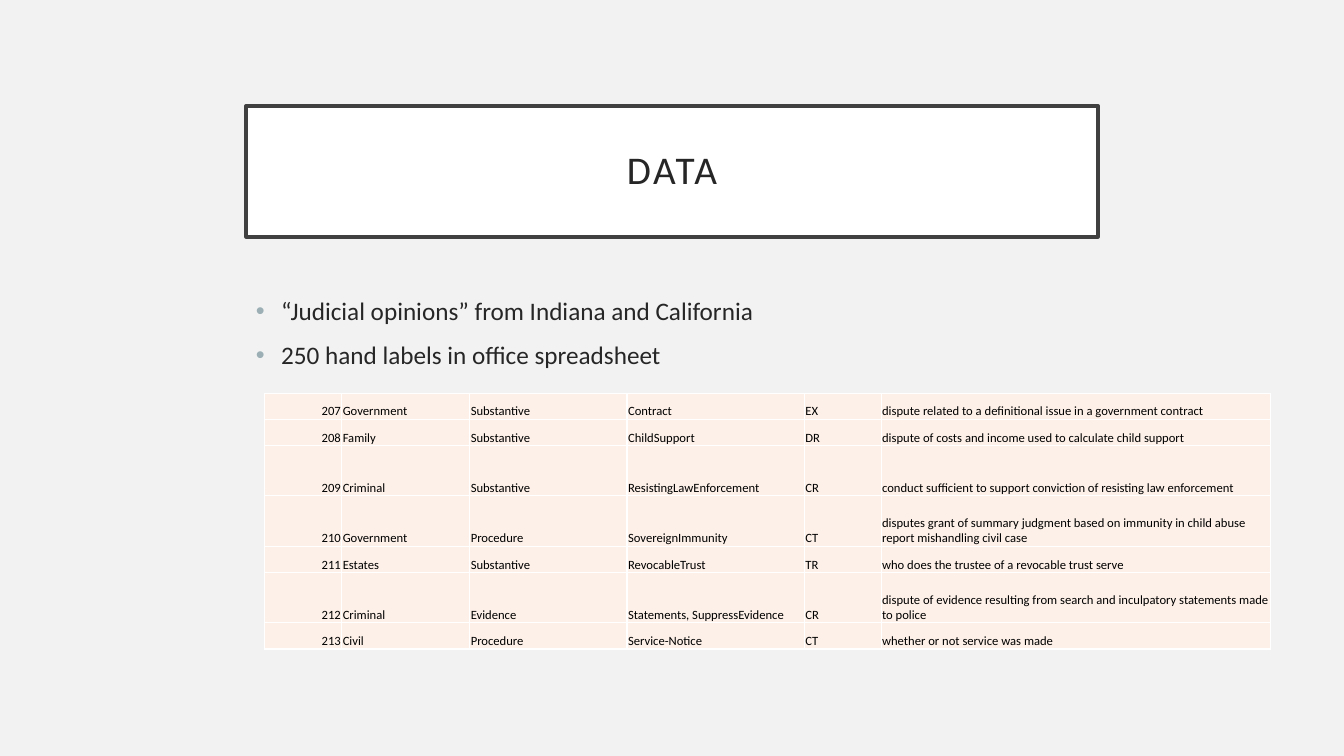
from lxml import etree
from pptx import Presentation
from pptx.dml.color import RGBColor
from pptx.enum.text import MSO_ANCHOR, PP_ALIGN
from pptx.oxml.ns import qn
from pptx.util import Inches, Pt

LEFT, CENTER, RIGHT = PP_ALIGN.LEFT, PP_ALIGN.CENTER, PP_ALIGN.RIGHT
MIDDLE, BOTTOM = MSO_ANCHOR.MIDDLE, MSO_ANCHOR.BOTTOM

# Content
TITLE = "DATA"
BULLETS = [
    "“Judicial opinions” from Indiana and California",
    "250 hand labels in office spreadsheet",
]
CASES = [
    ("207", "Government", "Substantive", "Contract", "EX",
     "dispute related to a definitional issue in a government contract"),
    ("208", "Family", "Substantive", "ChildSupport", "DR",
     "dispute of costs and income used to calculate child support"),
    ("209", "Criminal", "Substantive", "ResistingLawEnforcement", "CR",
     "conduct sufficient to support conviction of resisting law enforcement"),
    ("210", "Government", "Procedure", "SovereignImmunity", "CT",
     "disputes grant of summary judgment based on immunity in child abuse "
     "report mishandling civil case"),
    ("211", "Estates", "Substantive", "RevocableTrust", "TR",
     "who does the trustee of a revocable trust serve"),
    ("212", "Criminal", "Evidence", "Statements, SuppressEvidence", "CR",
     "dispute of evidence resulting from search and inculpatory statements "
     "made to police"),
    ("213", "Civil", "Procedure", "Service-Notice", "CT",
     "whether or not service was made"),
]
COLUMN_WIDTHS = [0.77, 1.27, 1.56, 1.76, 0.76, 3.86]
SHORT_ROW, TALL_ROW = 0.26, 0.5
TALL_CASES = {"209", "210", "212"}
FONT, INK = "Calibri", "262626"


def color(hex_string):
    return RGBColor.from_string(hex_string)


def write(paragraph, text, size, ink=INK, align=LEFT):
    paragraph.alignment = align
    run = paragraph.add_run()
    run.text = text
    run.font.name = FONT
    run.font.size = Pt(size)
    run.font.color.rgb = color(ink)
    return run


def set_margins(frame, left, top, right, bottom):
    frame.margin_left, frame.margin_top = Inches(left), Inches(top)
    frame.margin_right, frame.margin_bottom = Inches(right), Inches(bottom)


def add_bullet(paragraph, ink):
    properties = paragraph._p.get_or_add_pPr()
    properties.set("marL", str(Inches(0.25)))
    properties.set("indent", str(-Inches(0.25)))
    bullet_color = etree.SubElement(properties, qn("a:buClr"))
    etree.SubElement(bullet_color, qn("a:srgbClr"), val=ink)
    etree.SubElement(properties, qn("a:buFont"), typeface="Arial")
    etree.SubElement(properties, qn("a:buChar"), char="•")


def add_borders(cell, ink, width):
    properties = cell._tc.get_or_add_tcPr()
    for position, side in enumerate(("a:lnL", "a:lnR", "a:lnT", "a:lnB")):
        line = etree.Element(qn(side), w=str(Pt(width)))
        fill = etree.SubElement(line, qn("a:solidFill"))
        etree.SubElement(fill, qn("a:srgbClr"), val=ink)
        properties.insert(position, line)


presentation = Presentation()
presentation.slide_width, presentation.slide_height = Inches(13.33), Inches(7.5)
slide = presentation.slides.add_slide(presentation.slide_layouts[5])
slide.background.fill.solid()
slide.background.fill.fore_color.rgb = color("F2F2F2")

# Title in a framed box
title = slide.shapes.title
title.left, title.top = Inches(2.44), Inches(1.05)
title.width, title.height = Inches(8.45), Inches(1.3)
title.fill.solid()
title.fill.fore_color.rgb = color("FFFFFF")
title.line.color.rgb = color("404040")
title.line.width = Pt(2.5)
title.text_frame.vertical_anchor = MIDDLE
set_margins(title.text_frame, 0.2, 0.2, 0.2, 0.2)
heading = title.text_frame.paragraphs[0]
heading.line_spacing = 0.9
title_run = write(heading, TITLE, 28, align=CENTER)
title_run.font._element.set("spc", "200")

# Bullets
body = slide.shapes.add_textbox(Inches(2.44), Inches(2.88), Inches(8.45), Inches(3.39))
body.text_frame.word_wrap = True
for index, text in enumerate(BULLETS):
    paragraph = body.text_frame.add_paragraph() if index else body.text_frame.paragraphs[0]
    paragraph.space_before = Pt(10)
    add_bullet(paragraph, "9BAFB5")
    write(paragraph, text, 18)

# Table of labelled cases
row_heights = [TALL_ROW if case[0] in TALL_CASES else SHORT_ROW for case in CASES]
table = slide.shapes.add_table(
    len(CASES), len(COLUMN_WIDTHS), Inches(2.62), Inches(3.9),
    Inches(sum(COLUMN_WIDTHS)), Inches(sum(row_heights))).table
table.first_row = table.horz_banding = False
for column, width in zip(table.columns, COLUMN_WIDTHS):
    column.width = Inches(width)
for row, height, case in zip(table.rows, row_heights, CASES):
    row.height = Inches(height)
    for index, (cell, text) in enumerate(zip(row.cells, case)):
        cell.fill.solid()
        cell.fill.fore_color.rgb = color("FDF0E8")
        add_borders(cell, "FFFFFF", 1)
        cell.vertical_anchor = BOTTOM
        set_margins(cell, 0.01, 0.01, 0.01, 0)
        write(cell.text_frame.paragraphs[0], text, 9, ink="000000",
              align=LEFT if index else RIGHT)

presentation.save("out.pptx")
